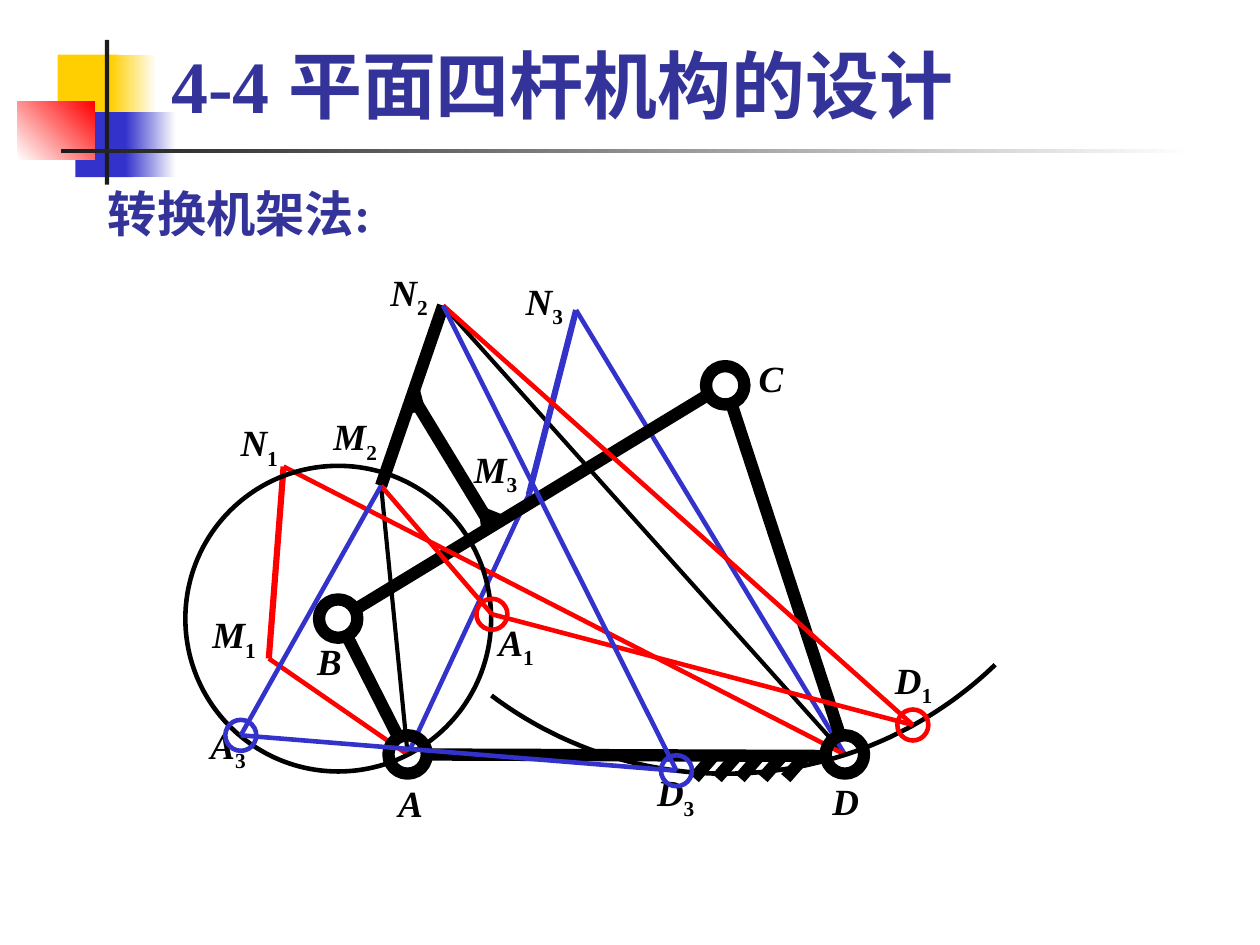
from dataclasses import dataclass
from math import cos, radians, sin
from typing import Optional

from lxml.etree import SubElement
from pptx import Presentation
from pptx.dml.color import RGBColor
from pptx.enum.shapes import MSO_CONNECTOR, MSO_SHAPE
from pptx.enum.text import MSO_ANCHOR, MSO_AUTO_SIZE, PP_ALIGN
from pptx.oxml.ns import qn
from pptx.util import Inches, Pt

FONT = "Times New Roman"
BLACK = RGBColor(0x00, 0x00, 0x00)
WHITE = RGBColor(0xFF, 0xFF, 0xFF)
RED = RGBColor(0xFF, 0x00, 0x00)
BLUE = RGBColor(0x33, 0x33, 0xCC)
NAVY = RGBColor(0x33, 0x33, 0x99)
YELLOW = RGBColor(0xFF, 0xCF, 0x01)
DARK = RGBColor(0x1C, 0x1C, 0x1C)

Point = tuple[float, float]


@dataclass
class Block:
    left: float
    top: float
    width: float
    height: float
    color: RGBColor
    end: Optional[RGBColor] = None
    angle: float = 0


@dataclass
class Line:
    start: Point
    end: Point
    color: RGBColor = BLACK
    width: float = 2.25


@dataclass
class Ring:
    center: Point
    radius: float = 0.13
    color: RGBColor = BLACK
    width: float = 6


@dataclass
class Outline:
    points: list[Point]
    filled: bool


@dataclass
class Label:
    letter: str
    index: str
    left: float
    top: float
    width: float = 0.53


A, B, C, D = (2.76, 5.11), (2.29, 4.19), (4.91, 2.61), (5.72, 5.11)
M1, N1 = (1.82, 4.46), (1.92, 3.16)
M2, N2 = (2.58, 3.29), (3.0, 2.07)
M3, N3 = (3.58, 3.35), (3.9, 2.1)
A1, D1 = (3.33, 4.16), (6.18, 4.91)
A3, D3 = (1.63, 4.98), (4.58, 5.22)
ARC_RADIUS = 2.63
ARC = [(C[0] + ARC_RADIUS * sin(radians(a)), C[1] + ARC_RADIUS * cos(radians(a)))
       for a in range(-37, 45)]

BLOCKS = [
    Block(0.39, 0.37, 0.41, 0.44, YELLOW),
    Block(0.75, 0.37, 0.31, 0.44, YELLOW, WHITE),
    Block(0.51, 0.76, 0.39, 0.44, BLUE),
    Block(0.85, 0.76, 0.34, 0.44, BLUE, WHITE),
    Block(0.12, 0.69, 0.52, 0.39, WHITE, RED, 45),
    Block(0.71, 0.27, 0.03, 0.98, DARK),
    Block(0.41, 1.01, 7.68, 0.03, DARK, WHITE),
]


def relocated(a: Point, d: Point, color: RGBColor) -> list:
    return [Line(M2, a, color), Line(N2, d, color), Line(a, d, color)]


def markers(a: Point, d: Point, color: RGBColor) -> list:
    return [Ring(p, 0.105, color, 2.25) for p in (a, d)]


LINKAGE = [
    Line(M2, A, width=0),
    Line(N2, D, width=0),
    Line(M3, A, BLUE),
    Line(N3, D, BLUE),
    Line((5.69, 4.99), (4.95, 2.73), width=6),
    Line((2.35, 4.31), (2.7, 5.0), width=6),
    Line((4.8, 2.67), (2.4, 4.13), width=6),
    Line((2.79, 2.68), (3.33, 3.57), width=6),
    Outline([(2.73, 2.81), (2.88, 2.78), (2.82, 2.55)], True),
    Outline([(3.24, 3.42), (3.26, 3.61), (3.44, 3.5)], True),
    Line(M2, N2, width=6),
    Line(M3, N3, BLUE, 3),
    Line(M1, N1, RED, 3),
    Line(M1, A, RED),
    Line(N1, D, RED),
    Line((2.9, 5.11), (5.59, 5.12), width=6),
    Ring(A),
    Ring(D),
    *[Line((4.7 + 0.155 * i, 5.27), (4.84 + 0.155 * i, 5.11), width=6) for i in range(5)],
    Label("A", "", 2.61, 5.24, 0.34),
    Label("D", "", 5.55, 5.23, 0.35),
    Label("M", "2", 2.17, 2.76, 0.47),
    Label("N", "2", 2.56, 1.78, 0.42),
    Label("M", "1", 1.32, 4.1),
    Label("N", "1", 1.52, 2.8, 0.47),
    Label("N", "3", 3.45, 1.84, 0.47),
    Label("M", "3", 3.09, 2.98),
    Ring(B, 1.035, width=2.25),
    Ring(B),
    Label("B", "", 2.06, 4.28, 0.34),
    Outline(ARC, False),
    Ring(C),
    Label("C", "", 5.05, 2.36, 0.34),
    *relocated(A1, D1, RED),
    Label("A", "1", 3.23, 4.15),
    Label("D", "1", 5.92, 4.41),
    *markers(A1, D1, RED),
    *relocated(A3, D3, BLUE),
    Label("A", "3", 1.28, 4.85),
    Label("D", "3", 4.31, 5.17),
    *markers(A3, D3, BLUE),
]


def format_run(r, size: float, color: RGBColor, italic: bool = False) -> None:
    r.font.name, r.font.size = FONT, Pt(size)
    r.font.bold, r.font.italic = True, italic
    r.font.color.rgb = color


def format_frame(tf, anchor: MSO_ANCHOR, wrap: bool) -> None:
    tf.margin_left = tf.margin_right = Inches(0.09)
    tf.margin_top = tf.margin_bottom = Inches(0.04)
    tf.vertical_anchor, tf.word_wrap = anchor, wrap
    tf.auto_size = MSO_AUTO_SIZE.NONE


def draw_block(s, block: Block) -> None:
    sp = s.shapes.add_shape(MSO_SHAPE.RECTANGLE, Inches(block.left), Inches(block.top),
                            Inches(block.width), Inches(block.height))
    sp.shadow.inherit = False
    sp.line.fill.background()
    if block.end is None:
        sp.fill.solid()
        sp.fill.fore_color.rgb = block.color
        return
    sp.fill.gradient()
    sp.fill.gradient_angle = block.angle
    for stop, color in zip(sp.fill.gradient_stops, (block.color, block.end)):
        stop.color.rgb = color


def draw_line(s, line: Line) -> None:
    cn = s.shapes.add_connector(MSO_CONNECTOR.STRAIGHT, *map(Inches, line.start + line.end))
    cn.line.color.rgb, cn.line.width = line.color, Pt(line.width)
    SubElement(cn._element.spPr, qn("a:effectLst"))


def draw_ring(s, ring: Ring) -> None:
    x, y = ring.center
    size = Inches(2 * ring.radius)
    sp = s.shapes.add_shape(MSO_SHAPE.OVAL, Inches(x - ring.radius), Inches(y - ring.radius), size, size)
    sp.shadow.inherit = False
    sp.fill.background()
    sp.line.color.rgb, sp.line.width = ring.color, Pt(ring.width)


def draw_outline(s, outline: Outline) -> None:
    points = [(Inches(x), Inches(y)) for x, y in outline.points]
    builder = s.shapes.build_freeform(*points[0])
    builder.add_line_segments(points[1:], close=outline.filled)
    sp = builder.convert_to_shape()
    sp.shadow.inherit = False
    if outline.filled:
        sp.fill.solid()
        sp.fill.fore_color.rgb = BLACK
        sp.line.fill.background()
    else:
        sp.fill.background()
        sp.line.color.rgb, sp.line.width = BLACK, Pt(2.25)


def draw_label(s, label: Label) -> None:
    height = 0.43 if label.index else 0.39
    sp = s.shapes.add_textbox(Inches(label.left), Inches(label.top), Inches(label.width), Inches(height))
    format_frame(sp.text_frame, MSO_ANCHOR.MIDDLE, False)
    p = sp.text_frame.paragraphs[0]
    p.text, p.alignment = label.letter, PP_ALIGN.CENTER
    format_run(p.runs[0], 18, BLACK, True)
    if label.index:
        r = p.add_run()
        r.text = label.index
        format_run(r, 18, BLACK)
        r.font._element.set("baseline", "-25000")


def write_heading(sp, text: str, size: float, anchor: MSO_ANCHOR) -> None:
    format_frame(sp.text_frame, anchor, True)
    p = sp.text_frame.paragraphs[0]
    p.text, p.alignment = text, PP_ALIGN.LEFT
    format_run(p.runs[0], size, NAVY)


def main() -> None:
    prs = Presentation()
    prs.slide_width, prs.slide_height = Inches(8.53), Inches(6.4)
    s = prs.slides.add_slide(prs.slide_layouts[5])
    for block in BLOCKS:
        draw_block(s, block)
    title = s.shapes.title
    title.left, title.top, title.width, title.height = map(Inches, (1.07, 0.22, 7.27, 0.69))
    write_heading(title, "4-4 平面四杆机构的设计", 36, MSO_ANCHOR.BOTTOM)
    method = s.shapes.add_textbox(*map(Inches, (0.64, 1.23, 7.25, 0.43)))
    write_heading(method, "转换机架法:", 24, MSO_ANCHOR.MIDDLE)
    draw = {Line: draw_line, Ring: draw_ring, Outline: draw_outline, Label: draw_label}
    for part in LINKAGE:
        draw[type(part)](s, part)
    prs.save("out.pptx")


if __name__ == "__main__":
    main()
